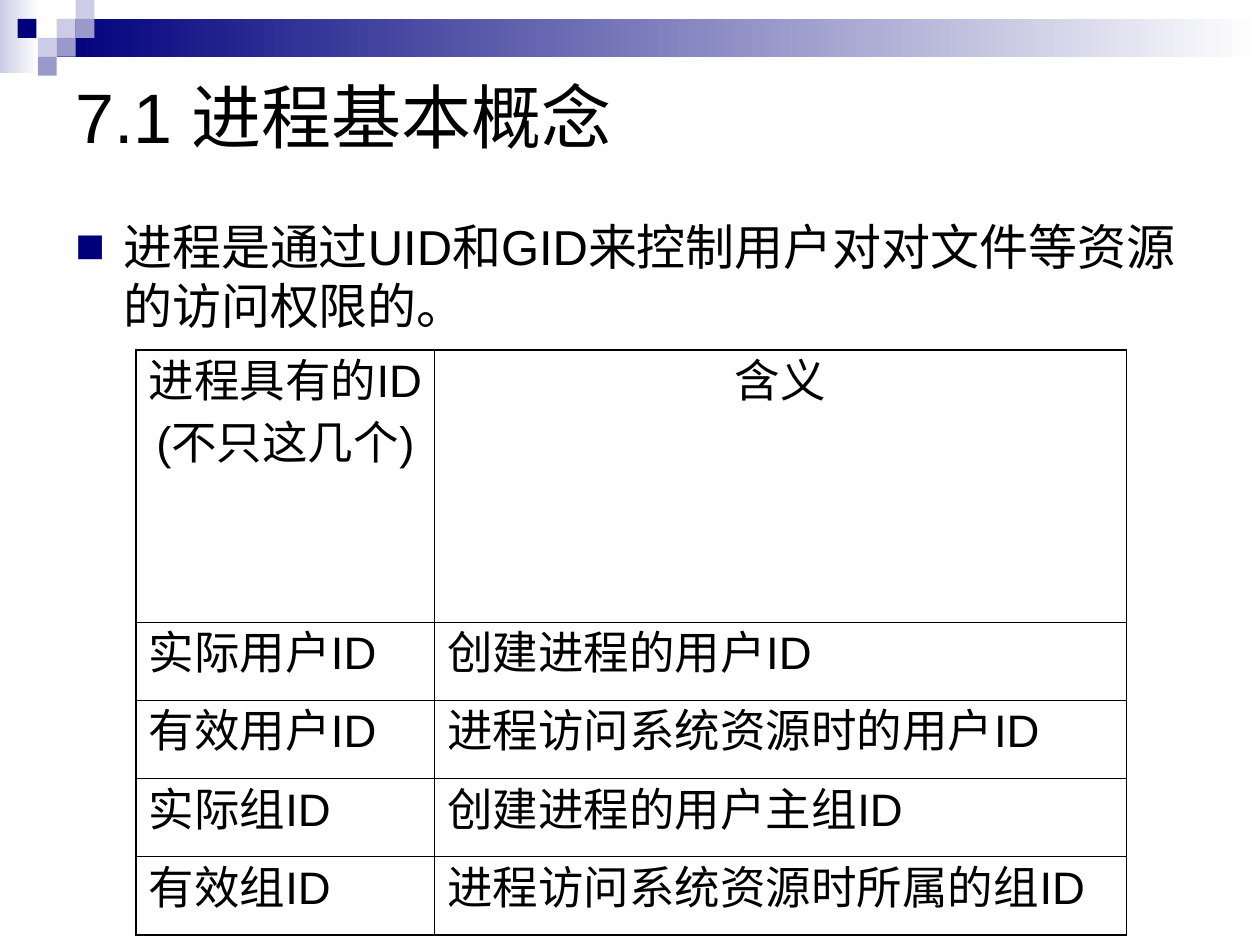
from lxml.etree import SubElement
from pptx import Presentation
from pptx.dml.color import RGBColor
from pptx.enum.shapes import MSO_SHAPE
from pptx.enum.text import MSO_ANCHOR, PP_ALIGN
from pptx.oxml import parse_xml
from pptx.oxml.ns import nsdecls, qn
from pptx.util import Inches, Pt

COLORS = {"navy": "00007D", "mid": "9999CC", "pale": "CCCCE6", "white": "FFFFFF", "black": "000000"}
FONT = "Arial"
W, H = Inches(10), Inches(7.5)
TILE = 0.15
TILES = [(3, 1, "pale"), (4, 0, "pale"), (4, 1, "mid"), (2, 2, "pale"),
         (0.93, 1, "navy"), (3, 2, "mid"), (2, 3, "mid")]
ROWS = [
    ("进程具有的ID\n(不只这几个)", "含义"),
    ("实际用户ID", "创建进程的用户ID"),
    ("有效用户ID", "进程访问系统资源时的用户ID"),
    ("实际组ID", "创建进程的用户主组ID"),
    ("有效组ID", "进程访问系统资源时所属的组ID"),
]


def rgb(name):
    """Return the named colour."""
    return RGBColor.from_string(COLORS[name])


def style(p, size, before=0, align=PP_ALIGN.LEFT):
    """Format a paragraph and its runs."""
    p.alignment = align
    p.space_before = Pt(before)
    for r in p.runs:
        r.font.size = Pt(size)
        r.font.name = FONT
        r.font.color.rgb = rgb("black")
        SubElement(r.font._element, qn("a:ea")).set("typeface", FONT)


def add_rect(slide, box, start, end=None):
    """Add a borderless rectangle, plain or with a left-to-right gradient."""
    sp = slide.shapes.add_shape(MSO_SHAPE.RECTANGLE, *(Inches(v) for v in box))
    sp.shadow.inherit = False
    sp.line.fill.background()
    if end is None:
        sp.fill.solid()
        sp.fill.fore_color.rgb = rgb(start)
        return
    sp.fill.gradient()
    sp.fill.gradient_angle = 0
    for stop, name in zip(sp.fill.gradient_stops, (start, end)):
        stop.color.rgb = rgb(name)


def add_banner(slide, width):
    """Draw the gradient bars and the mosaic of tiles along the top."""
    add_rect(slide, (0, 0, 0.31, 0.58), "pale", "white")
    add_rect(slide, (3 * TILE, TILE, width - 3 * TILE, 2 * TILE), "navy", "white")
    for col, row, name in TILES:
        add_rect(slide, (col * TILE, row * TILE, TILE, TILE), name)


def add_text(slide, box, text, size, before=0, anchor=MSO_ANCHOR.TOP):
    """Add a wrapped text box and return its paragraph."""
    tf = slide.shapes.add_textbox(*box).text_frame
    tf.word_wrap = True
    tf.vertical_anchor = anchor
    tf.text = text
    style(tf.paragraphs[0], size, before)
    return tf.paragraphs[0]


def add_bullet(p, indent):
    """Give a paragraph a square bullet and a hanging indent."""
    pPr = p._p.get_or_add_pPr()
    pPr.set("marL", str(indent))
    pPr.set("indent", str(-indent))
    clr = SubElement(pPr, qn("a:buClr"))
    SubElement(clr, qn("a:srgbClr")).set("val", COLORS["navy"])
    SubElement(pPr, qn("a:buFont")).set("typeface", FONT)
    SubElement(pPr, qn("a:buChar")).set("char", "■")


def set_borders(cell, outer):
    """Draw the four cell borders, thicker on the outer sides."""
    tcPr = cell._tc.get_or_add_tcPr()
    for i, side in enumerate("LRTB"):
        width = Pt(1.08 if side in outer else 0.45)
        tcPr.insert(i, parse_xml(
            f'<a:ln{side} {nsdecls("a")} w="{width}"><a:solidFill>'
            f'<a:srgbClr val="{COLORS["black"]}"/></a:solidFill></a:ln{side}>'))


def add_id_table(slide, box, cols, heights):
    """Add the table of process IDs and their meanings."""
    table = slide.shapes.add_table(len(ROWS), len(cols), *box).table
    table.first_row = table.horz_banding = False
    for col, width in zip(table.columns, cols):
        col.width = Inches(width)
    last = len(ROWS) - 1
    for i, (row, height) in enumerate(zip(table.rows, heights)):
        row.height = Inches(height)
        for j, cell in enumerate(row.cells):
            cell.text_frame.text = ROWS[i][j]
            for p in cell.text_frame.paragraphs:
                style(p, 26, 6.5, PP_ALIGN.LEFT if i else PP_ALIGN.CENTER)
            cell.fill.background()
            set_borders(cell, "LR"[j] + ("T" if i == 0 else "B" if i == last else ""))


def main():
    """Build and save the slide."""
    prs = Presentation()
    prs.slide_width, prs.slide_height = W, H
    slide = prs.slides.add_slide(prs.slide_layouts[6])
    left, width = int(W * 0.05), int(W * 0.9)
    add_banner(slide, W.inches)
    body = add_text(slide, (left, Inches(1.67), width, Inches(4.75)),
                    "进程是通过UID和GID来控制用户对对文件等资源的访问权限的。", 28, 10.5)
    add_bullet(body, Inches(0.38))
    add_id_table(slide, (Inches(1.08), Inches(2.78), Inches(7.86), Inches(4.64)),
                 (2.37, 5.49), [2.16] + [0.62] * 4)
    add_text(slide, (left, Inches(0.17), width, int(H * 0.2)),
             "7.1 进程基本概念", 40, anchor=MSO_ANCHOR.MIDDLE)
    prs.save("out.pptx")


if __name__ == "__main__":
    main()
